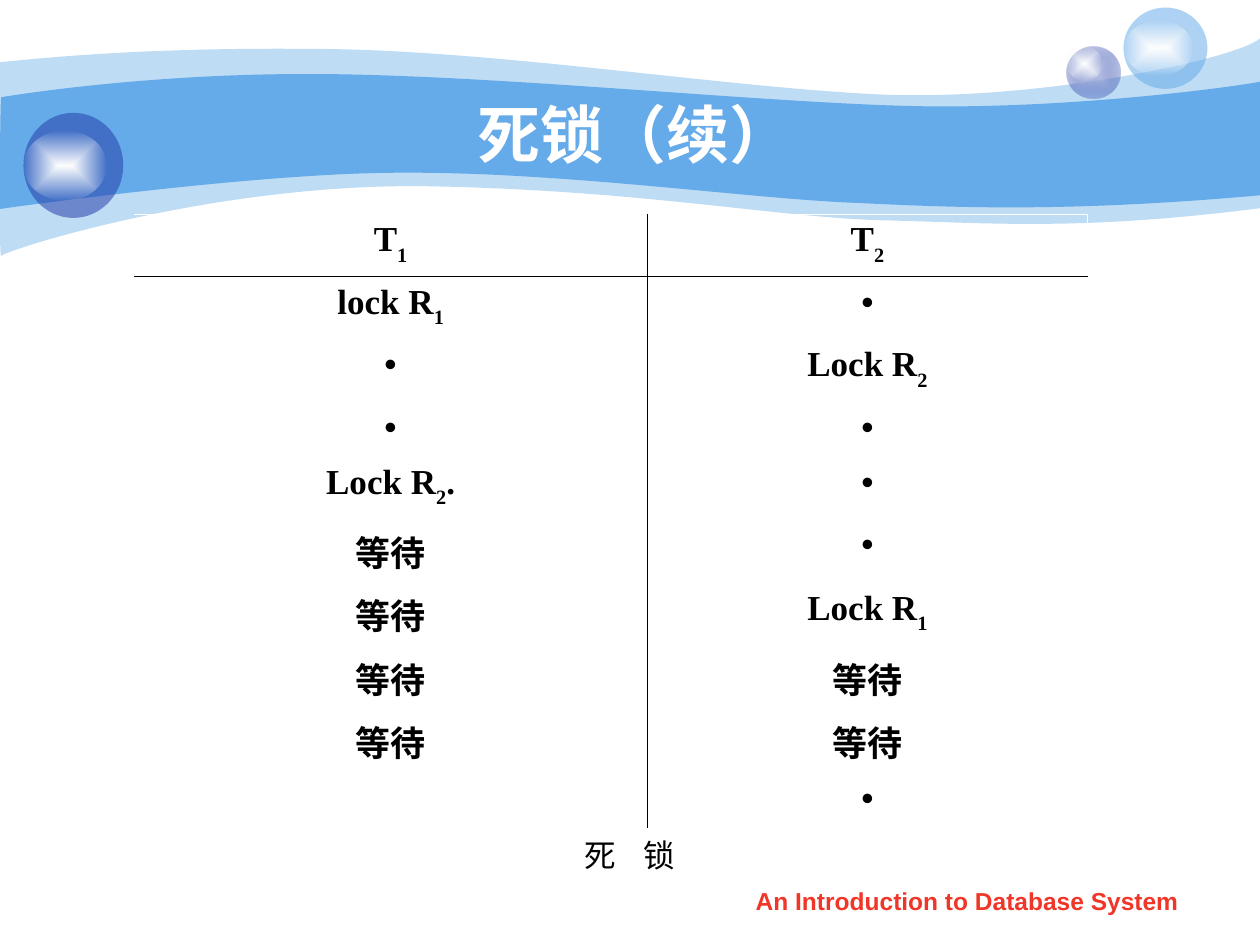
from dataclasses import dataclass

from lxml import etree
from pptx import Presentation
from pptx.dml.color import RGBColor
from pptx.enum.shapes import MSO_SHAPE
from pptx.enum.text import MSO_ANCHOR, PP_ALIGN
from pptx.oxml import parse_xml
from pptx.oxml.ns import nsdecls, qn
from pptx.util import Pt

OVAL = MSO_SHAPE.OVAL
CENTER = PP_ALIGN.CENTER
TOP, MIDDLE = MSO_ANCHOR.TOP, MSO_ANCHOR.MIDDLE


@dataclass(frozen=True)
class Theme:
    sky: str = "65AAE9"
    navy: str = "233DA9"
    mist: str = "C7CEE9"
    white: str = "FFFFFF"
    black: str = "000000"
    red: str = "F03628"
    sans: str = "Arial"
    serif: str = "Times New Roman"
    title: int = 36
    cell: int = 20
    caption: int = 18
    footer: int = 14
    rule: float = 0.45


T = Theme()

OUTER_WAVE = ((0, 35.6), [
    (17, 34, 77, 27, 178, 28), (278, 28, 414, 50, 503, 54),
    (592, 58, 706, 34, 720, 22), (720, 119),
    (618, 132, 567, 127.5, 508, 126), (448, 125, 371, 109, 247, 106.5),
    (124, 104, 3, 143, 0.7, 146.3), (-0.7, 150, 0, 54, 0, 35.6)])
INNER_WAVE = ((0.7, 55.5), [
    (1.5, 55.5, 79, 42, 178.5, 42.3), (278, 42.5, 428, 58, 517, 60.5),
    (605.5, 63, 703, 50, 720, 46.7), (720, 111.6),
    (614, 121, 551, 119, 491, 116), (431, 114, 322, 98, 228, 98.7),
    (146, 98.7, -1.4, 119.5, -0.7, 119.5), (0, 119.5, 0, 55.5, 0.7, 55.5)])
SCHEDULE = [
    ("T_1", "T_2"), ("lock R_1", "•"), ("•", "Lock R_2"), ("•", "•"),
    ("Lock R_2.", "•"), ("等待", "•"), ("等待", "Lock R_1"),
    ("等待", "等待"), ("等待", "等待"), ("", "•")]
COL_WIDTHS = (293.4, 251.6)
SHORT_ROW, LATIN_ROW, WAIT_ROW = 31.5, 35.7, 36.3
ROW_HEIGHTS = [LATIN_ROW] * 3 + [SHORT_ROW, LATIN_ROW] + [WAIT_ROW] * 4 + [SHORT_ROW]


def add_run(p, text, size, color, font, bold=False, subscript=False, spacing=0):
    r = p.add_run()
    r.text = text
    r.font.size, r.font.name, r.font.bold = Pt(size), font, bold
    r.font.color.rgb = RGBColor.from_string(color)
    rPr = r.font._element
    if subscript:
        rPr.set("baseline", "-30000")
    if spacing:
        rPr.set("spc", str(round(spacing * 100)))


def fill_solid(shape, color, alpha=100):
    shape.shadow.inherit = False
    shape.line.fill.background()
    shape.fill.solid()
    shape.fill.fore_color.rgb = RGBColor.from_string(color)
    if alpha < 100:
        clr = shape._element.spPr.find(qn("a:solidFill")).find(qn("a:srgbClr"))
        etree.SubElement(clr, qn("a:alpha")).set("val", str(alpha * 1000))


def fill_glow(shape, inner, outer, alpha):
    fill_solid(shape, inner)
    spPr = shape._element.spPr
    spPr.replace(spPr.find(qn("a:solidFill")), parse_xml(
        f'<a:gradFill {nsdecls("a")} rotWithShape="1"><a:gsLst>'
        f'<a:gs pos="0"><a:srgbClr val="{inner}"/></a:gs>'
        f'<a:gs pos="100000"><a:srgbClr val="{outer}">'
        f'<a:alpha val="{alpha * 1000}"/></a:srgbClr></a:gs></a:gsLst>'
        '<a:path path="rect"><a:fillToRect l="50000" t="50000" '
        'r="50000" b="50000"/></a:path></a:gradFill>'))


def add_wave(s, outline, color, alpha=100):
    start, segments = outline
    points = [(Pt(x), Pt(y)) for seg in segments for x, y in zip(seg[::2], seg[1::2])]
    builder = s.shapes.build_freeform(Pt(start[0]), Pt(start[1]))
    builder.add_line_segments(points, close=True)
    shape = builder.convert_to_shape()
    lines = iter(list(shape._element.spPr.iter(qn("a:lnTo"))))
    for seg in segments:
        line = next(lines)
        if len(seg) == 6:
            curve = etree.Element(qn("a:cubicBezTo"))
            line.addprevious(curve)
            for node in (line, next(lines), next(lines)):
                curve.append(node[0])
                node.getparent().remove(node)
    fill_solid(shape, color, alpha)


def add_orb(s, box, shine, color, alpha, core=None):
    group = s.shapes.add_group_shape()
    ball, gloss = (group.shapes.add_shape(OVAL, *map(Pt, b)) for b in (box, shine))
    if core:
        fill_glow(ball, core, color, alpha)
    else:
        fill_solid(ball, color, alpha)
    fill_glow(gloss, T.white, T.white, 0)


def add_text(s, box, parts, anchor=TOP, wrap=True, **fmt):
    tf = s.shapes.add_textbox(*map(Pt, box)).text_frame
    tf.word_wrap, tf.vertical_anchor = wrap, anchor
    p = tf.paragraphs[0]
    p.alignment = CENTER
    for text, spacing in parts:
        add_run(p, text, spacing=spacing, **fmt)


def set_borders(cell, **colors):
    tcPr = cell._tc.get_or_add_tcPr()
    for side in "LRTB":
        color = colors.get(side)
        paint = (f'<a:solidFill><a:srgbClr val="{color}"/></a:solidFill>'
                 if color else "<a:noFill/>")
        tcPr.append(parse_xml(
            f'<a:ln{side} {nsdecls("a")} w="{Pt(T.rule)}">{paint}</a:ln{side}>'))


def add_schedule(s, left, top):
    last = len(SCHEDULE) - 1
    table = s.shapes.add_table(
        len(SCHEDULE), len(COL_WIDTHS), Pt(left), Pt(top),
        Pt(sum(COL_WIDTHS)), Pt(sum(ROW_HEIGHTS))).table
    table.first_row = table.horz_banding = False
    for col, width in zip(table.columns, COL_WIDTHS):
        col.width = Pt(width)
    for i, (row, height, texts) in enumerate(zip(table.rows, ROW_HEIGHTS, SCHEDULE)):
        row.height = Pt(height)
        above = {0: T.white, 1: T.black}.get(i)
        below = {0: T.black, last: T.white}.get(i)
        for j, (cell, text) in enumerate(zip(row.cells, texts)):
            set_borders(cell, L=T.black if j else None,
                        R=T.white if j else T.black, T=above, B=below)
            cell.fill.background()
            p = cell.text_frame.paragraphs[0]
            p.alignment = CENTER
            base, _, tail = text.partition("_")
            for part, sub in ((base, False), (tail[:1], True), (tail[1:], False)):
                if part:
                    add_run(p, part, T.cell, T.black, T.serif, bold=True, subscript=sub)


def add_background(s):
    add_wave(s, OUTER_WAVE, T.sky, 41)
    add_wave(s, INNER_WAVE, T.sky)
    add_orb(s, (609.3, 26.8, 31, 29.5), (609.3, 26.8, 20.5, 19.5), T.navy, 31, T.mist)
    add_orb(s, (642, 4.3, 48, 46.5), (642, 12, 40, 31), T.sky, 53)
    add_orb(s, (13.4, 64.5, 57, 60), (13.4, 74.5, 47.5, 40), T.navy, 53)


def main():
    prs = Presentation()
    prs.slide_width, prs.slide_height = Pt(720), Pt(540)
    s = prs.slides.add_slide(prs.slide_layouts[6])
    add_background(s)
    add_text(s, (72, 54, 582, 44.5), [("死锁（续）", 0)], anchor=MIDDLE,
             size=T.title, color=T.white, font=T.sans, bold=True)
    add_schedule(s, 76.5, 122.4)
    add_text(s, (300, 474.2, 120, 29), [("死", 0), (" ", 11.8), ("锁", 0)], wrap=False,
             size=T.caption, color=T.black, font=T.serif)
    add_text(s, (411, 502.5, 283.5, 25), [("An Introduction to Database System", 0)],
             size=T.footer, color=T.red, font=T.sans, bold=True)
    prs.save("out.pptx")


if __name__ == "__main__":
    main()
